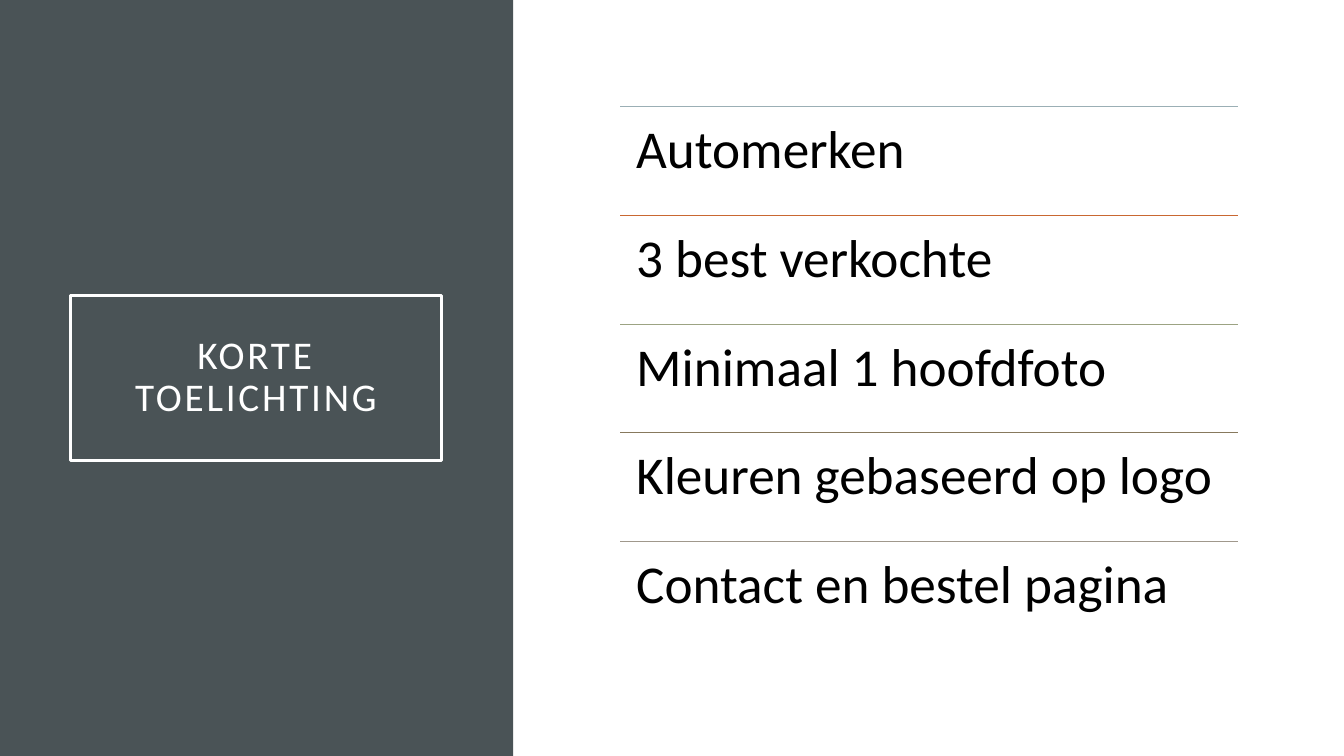
from dataclasses import dataclass

from lxml import etree
from pptx import Presentation
from pptx.dml.color import RGBColor
from pptx.enum.shapes import MSO_CONNECTOR, MSO_SHAPE
from pptx.enum.text import MSO_ANCHOR, PP_ALIGN
from pptx.oxml.ns import qn
from pptx.shapes.autoshape import Shape
from pptx.slide import Slide
from pptx.util import Inches, Pt

RECTANGLE = MSO_SHAPE.RECTANGLE
STRAIGHT = MSO_CONNECTOR.STRAIGHT
TOP, MIDDLE = MSO_ANCHOR.TOP, MSO_ANCHOR.MIDDLE
LEFT, CENTER = PP_ALIGN.LEFT, PP_ALIGN.CENTER

COLORS = {
    "panel": "4A5356",
    "white": "FFFFFF",
    "black": "000000",
    "blue": "9BAFB5",
    "orange": "C96731",
    "green": "9CA383",
    "brown": "87795D",
    "taupe": "A0988C",
}
FONT = "Calibri"
LIST_LEFT, LIST_WIDTH = 6.15, 6.13
FIRST_TOP, LAST_TOP = 1.06, 5.37


@dataclass(frozen=True)
class Item:
    """A list entry and the colour of the rule above it."""

    text: str
    color: str


@dataclass(frozen=True)
class TextFormat:
    """How the text of one kind of box is set."""

    size: float
    color: str
    inset: float
    anchor: MSO_ANCHOR
    alignment: PP_ALIGN
    tracking: float = 0


ITEMS = [
    Item("Automerken", "blue"),
    Item("3 best verkochte", "orange"),
    Item("Minimaal 1 hoofdfoto", "green"),
    Item("Kleuren gebaseerd op logo", "brown"),
    Item("Contact en bestel pagina", "taupe"),
]
TITLE_FORMAT = TextFormat(28, "white", 0.2, MIDDLE, CENTER, tracking=2)
ITEM_FORMAT = TextFormat(38, "black", 0.16, TOP, LEFT)


def rgb(name: str) -> RGBColor:
    """Look up a named colour."""
    return RGBColor.from_string(COLORS[name])


def set_attributes(target: object, values: dict[str, object]) -> None:
    """Apply a dict of format values to an object."""
    for name, value in values.items():
        setattr(target, name, value)


def write_text(shape: Shape, text: str, style: TextFormat) -> None:
    """Write one formatted paragraph into a shape."""
    frame = shape.text_frame
    inset = Inches(style.inset)
    set_attributes(frame, {
        "word_wrap": True, "vertical_anchor": style.anchor,
        "margin_left": inset, "margin_right": inset,
        "margin_top": inset, "margin_bottom": inset,
    })
    paragraph = frame.paragraphs[0]
    set_attributes(paragraph, {"alignment": style.alignment, "line_spacing": 0.9})
    run = paragraph.add_run()
    run.text = text
    set_attributes(run.font, {"name": FONT, "size": Pt(style.size)})
    run.font.color.rgb = rgb(style.color)
    if style.tracking:
        run.font._element.set("spc", str(round(style.tracking * 100)))


def add_panel(slide: Slide) -> None:
    """Add the dark panel on the left."""
    panel = slide.shapes.add_shape(RECTANGLE, 0, 0, Inches(5.09), Inches(7.5))
    panel.shadow.inherit = False
    panel.fill.solid()
    panel.fill.fore_color.rgb = rgb("panel")
    panel.line.fill.background()


def add_title(slide: Slide, text: str) -> None:
    """Add the outlined title box."""
    title = slide.shapes.add_shape(
        RECTANGLE, Inches(0.7), Inches(2.93), Inches(3.68), Inches(1.64))
    title.shadow.inherit = False
    title.fill.background()
    title.line.color.rgb = rgb("white")
    title.line.width = Pt(2.5)
    write_text(title, text, TITLE_FORMAT)


def add_item(slide: Slide, item: Item, top: float, height: float) -> None:
    """Add a list entry with its rule above."""
    left, width = Inches(LIST_LEFT), Inches(LIST_WIDTH)
    rule = slide.shapes.add_connector(
        STRAIGHT, left, Inches(top), left + width, Inches(top))
    rule.line.color.rgb = rgb(item.color)
    rule.line.width = Pt(0.5)
    etree.SubElement(rule._element.spPr, qn("a:effectLst"))
    box = slide.shapes.add_textbox(left, Inches(top), width, Inches(height))
    write_text(box, item.text, ITEM_FORMAT)


def main() -> None:
    """Build and save the slide."""
    presentation = Presentation()
    set_attributes(presentation, {
        "slide_width": Inches(13.33), "slide_height": Inches(7.5)})
    slide = presentation.slides.add_slide(presentation.slide_layouts[6])
    add_panel(slide)
    add_title(slide, "KORTE TOELICHTING")
    pitch = (LAST_TOP - FIRST_TOP) / (len(ITEMS) - 1)
    for index, item in enumerate(ITEMS):
        add_item(slide, item, FIRST_TOP + index * pitch, pitch)
    presentation.save("out.pptx")


main()
